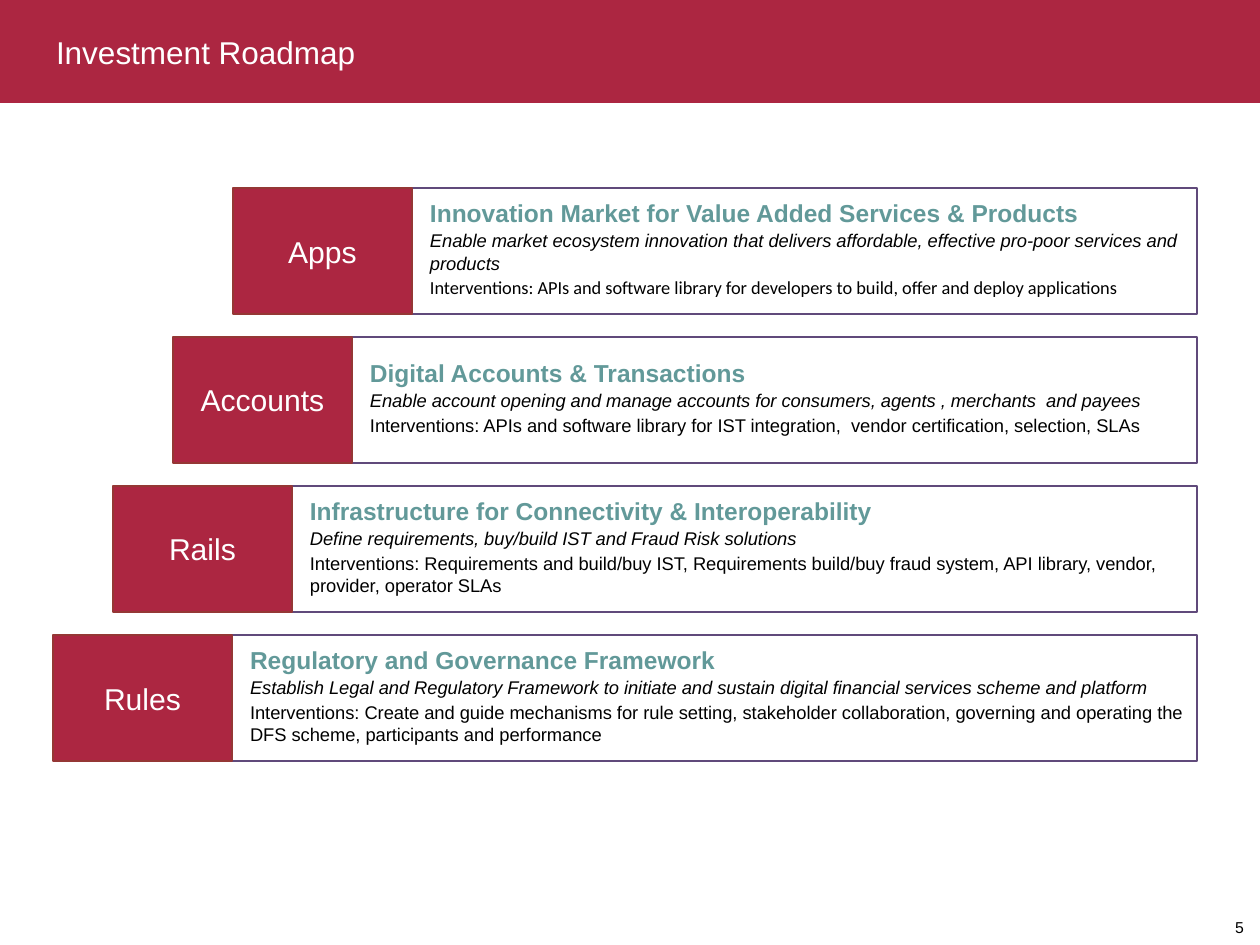
from pptx import Presentation
from pptx import util as u
from pptx.dml.color import RGBColor
from pptx.enum import shapes, text

PX = u.Inches(1) / 126
COLORS = {
    "crimson": "AC2641",
    "brick": "953735",
    "purple": "604A7B",
    "teal": "629999",
    "white": "FFFFFF",
    "black": "000000",
}
TIERS = [
    ("Apps", "Innovation Market for Value Added Services & Products",
     "Enable market ecosystem innovation that delivers affordable, effective pro-poor services and products",
     "Interventions: APIs and software library for developers to build, offer and deploy applications",
     "Calibri"),
    ("Accounts", "Digital Accounts & Transactions",
     "Enable account opening and manage accounts for consumers, agents , merchants  and payees",
     "Interventions: APIs and software library for IST integration,  vendor certification, selection, SLAs",
     "Arial"),
    ("Rails", "Infrastructure for Connectivity & Interoperability",
     "Define requirements, buy/build IST and Fraud Risk solutions",
     "Interventions: Requirements and build/buy IST, Requirements build/buy fraud system, "
     "API library, vendor, provider, operator SLAs",
     "Arial"),
    ("Rules", "Regulatory and Governance Framework",
     "Establish Legal and Regulatory Framework to initiate and sustain digital financial services scheme and platform",
     "Interventions: Create and guide mechanisms for rule setting, stakeholder collaboration, "
     "governing and operating the DFS scheme, participants and performance",
     "Arial"),
]
LEFT, RIGHT, TOP = 53, 1197, 188
STEP, PITCH = 60, 149
LABEL_WIDTH, TIER_HEIGHT = 179, 126


def px(value):
    return round(value * PX)


def color(name):
    return RGBColor.from_string(COLORS[name])


def set_values(target, values):
    for name, value in values.items():
        setattr(target, name, value)


def format_frame(frame, margins, anchor=text.MSO_ANCHOR.MIDDLE):
    sides = ("margin_left", "margin_top", "margin_right", "margin_bottom")
    set_values(frame, {side: px(value) for side, value in zip(sides, margins)})
    set_values(frame, {"word_wrap": True, "vertical_anchor": anchor,
                       "auto_size": text.MSO_AUTO_SIZE.NONE})


def write(para, words, size, tint, align=text.PP_ALIGN.LEFT, after=0,
          name="Arial", bold=False, italic=False):
    set_values(para, {"alignment": align, "space_after": u.Pt(after)})
    span = para.add_run()
    span.text = words
    set_values(span.font, {"name": name, "size": u.Pt(size), "bold": bold, "italic": italic})
    span.font.color.rgb = color(tint)


def add_box(page, place, fill, line=None):
    box = page.shapes.add_shape(shapes.MSO_SHAPE.RECTANGLE, *map(px, place))
    box.shadow.inherit = False
    box.fill.solid()
    box.fill.fore_color.rgb = color(fill)
    if line:
        box.line.color.rgb = color(line)
        box.line.width = u.Pt(1)
    else:
        box.line.fill.background()
    return box


def add_header(page, words):
    banner = add_box(page, (0, 0, 1260, 103), "crimson")
    title = page.shapes.title
    title._element.addprevious(banner._element)
    set_values(title, {"left": px(43), "top": px(33), "width": px(906), "height": px(38)})
    format_frame(title.text_frame, (13, 0, 13, 0))
    write(title.text_frame.paragraphs[0], words, 18, "white")


def add_page_number(page, words):
    box = page.shapes.add_textbox(*map(px, (1186, 895, 74, 50)))
    format_frame(box.text_frame, (16, 8, 16, 8), text.MSO_ANCHOR.BOTTOM)
    write(box.text_frame.paragraphs[0], words, 9, "black", text.PP_ALIGN.RIGHT)


def add_panel(page, place, heading, goal, interventions, name):
    frame = add_box(page, place, "white", "purple").text_frame
    format_frame(frame, (18, 0, 6, 6))
    write(frame.paragraphs[0], heading, 14, "teal", after=1.4, bold=True)
    write(frame.add_paragraph(), goal, 10.5, "black", after=1.4, italic=True)
    write(frame.add_paragraph(), interventions, 10.5, "black", after=1.4, name=name)


def add_label(page, place, words):
    frame = add_box(page, place, "crimson", "brick").text_frame
    format_frame(frame, (0, 0, 0, 0))
    write(frame.paragraphs[0], words, 17.2, "white", text.PP_ALIGN.CENTER)


def main():
    deck = Presentation()
    deck.slide_width, deck.slide_height = px(1260), px(945)
    page = deck.slides.add_slide(deck.slide_layouts[5])
    add_header(page, "Investment Roadmap")
    for index, (label, *details) in enumerate(TIERS):
        left = LEFT + STEP * (len(TIERS) - 1 - index)
        top = TOP + PITCH * index
        split = left + LABEL_WIDTH
        add_panel(page, (split, top, RIGHT - split, TIER_HEIGHT), *details)
        add_label(page, (left, top, LABEL_WIDTH, TIER_HEIGHT), label)
    add_page_number(page, "5")
    deck.save("out.pptx")


if __name__ == "__main__":
    main()
